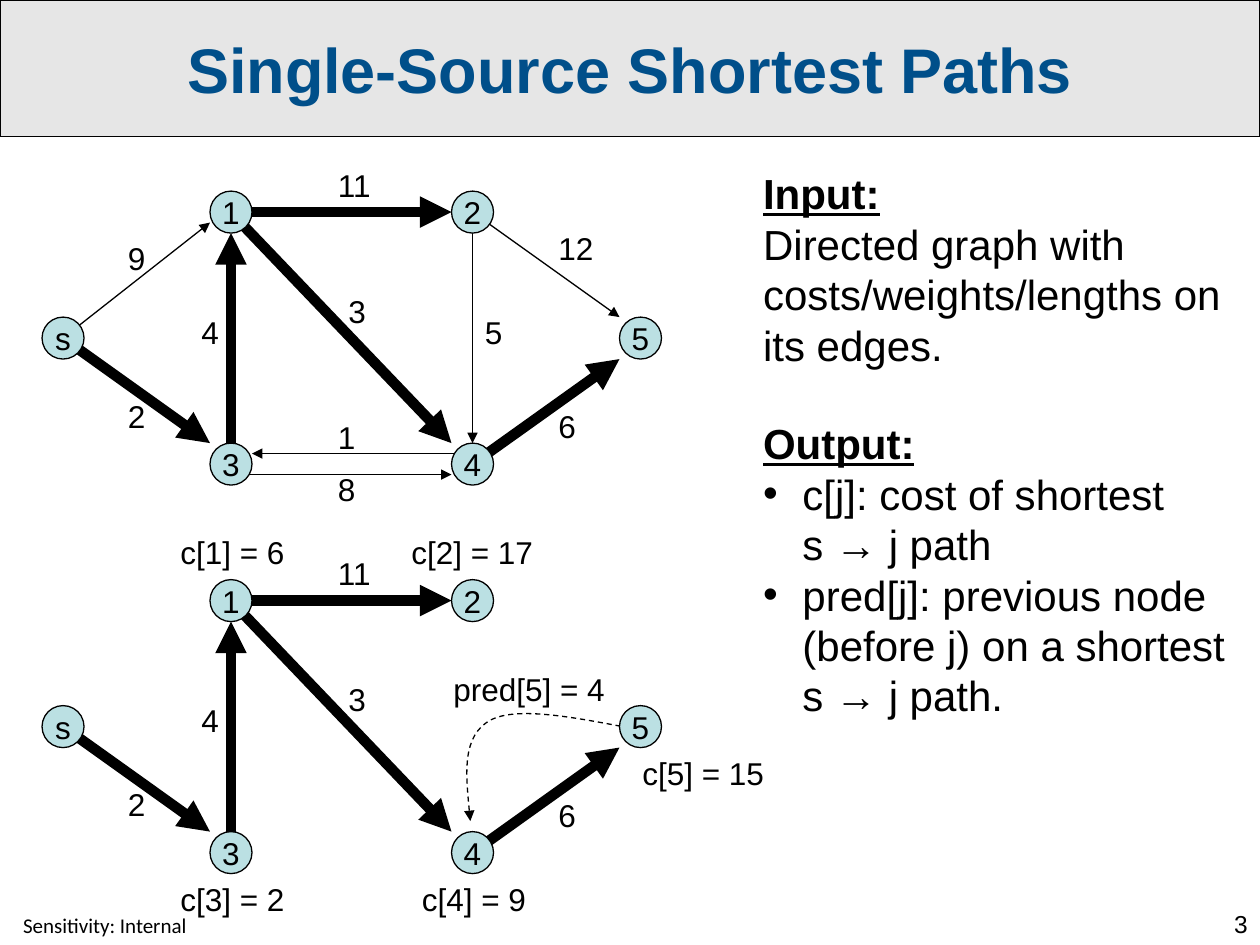
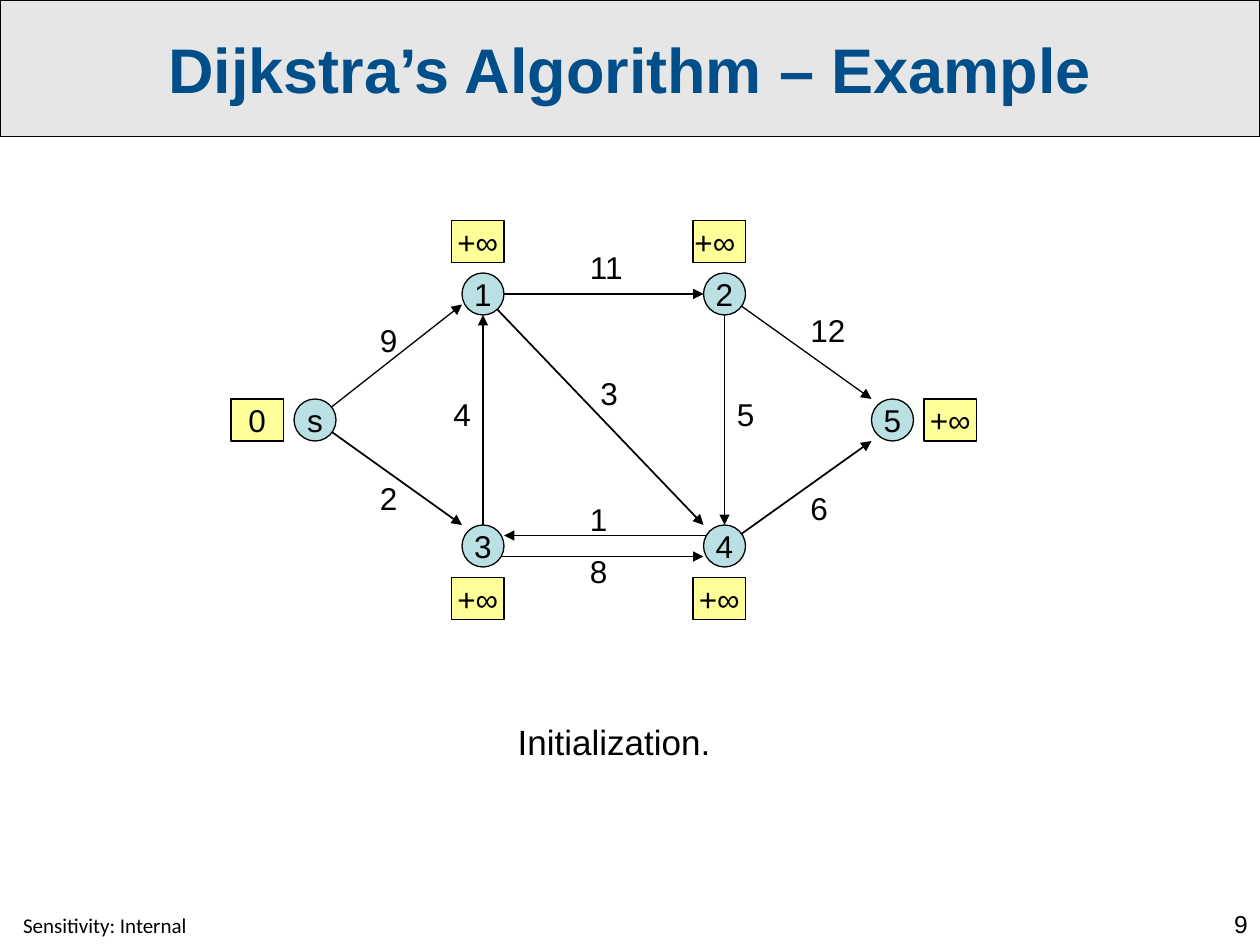
from dataclasses import dataclass

import pptx
import pptx.dml.color
import pptx.enum.dml
import pptx.enum.shapes
import pptx.enum.text
import pptx.oxml
import pptx.oxml.ns
import pptx.util

ALIGN = pptx.enum.text.PP_ALIGN
ANCHOR = pptx.enum.text.MSO_ANCHOR
SHAPE = pptx.enum.shapes.MSO_SHAPE
SCALE = 7620  # EMU in one px, 120 px to the inch


@dataclass(frozen=True)
class Theme:
    ink: str = "000000"
    title: str = "004F8A"
    band: str = "E6E6E6"
    node: str = "BBE0E3"
    cost: str = "FFFF99"
    font: str = "Arial"
    footer_font: str = "Calibri"
    title_size: int = 36
    body_size: int = 24
    caption_size: int = 20
    label_size: int = 18
    number_size: int = 14
    footer_size: int = 12
    thin: float = 0.75
    medium: float = 1
    thick: float = 6


THEME = Theme()
PAGE_WIDTH, PAGE_HEIGHT = 1200, 900
NODE_SIZE = 40
LABEL_HEIGHT = 48

# Graph parts, relative to the graph's box
NODES = {"s": (0, 120), "1": (160, 0), "3": (160, 240),
         "4": (390, 240), "2": (390, 0), "5": (550, 120)}
# Edges: start, end, weight, place of the weight
TREE_EDGES = [
    ((20, 140), (160, 240), "2", (70, 190)),
    ((180, 260), (180, 40), "4", (140, 110)),
    ((180, 20), (390, 20), "11", (270, -30)),
    ((170, 10), (390, 240), "3", (280, 90)),
    ((410, 260), (550, 160), "6", (480, 200)),
]
OTHER_EDGES = [
    ((20, 140), (160, 30), "9", (70, 40)),
    ((410, 20), (550, 120), "12", (480, 30)),
    ((410, 20), (410, 240), "5", (410, 110)),
    ((410, 250), (200, 250), "1", (270, 210)),
    ((180, 270), (390, 270), "8", (270, 260)),
]
# Path costs: text, left, top, width
PATH_COSTS = [
    ("c[1] = 6", 120, -50, 124), ("c[2] = 17", 340, -50, 140),
    ("c[3] = 2", 120, 280, 124), ("c[4] = 9", 350, 280, 124),
    ("c[5] = 15", 560, 160, 140), ("pred[5] = 4", 380, 80, 168),
]
PRED_CURVE = [(568, 143), (511, 132), (453, 120), (427, 134),
              (400, 149), (404, 190), (408, 230)]
START_COSTS = [("0", -60, 120), ("+∞", 150, -50), ("+∞", 150, 290),
               ("+∞", 380, 290), ("+∞ ", 380, -50), ("+∞", 600, 120)]


def px(*lengths):
    return [round(length * SCALE) for length in lengths]


def color(value):
    return pptx.dml.color.RGBColor.from_string(value)


def set_font(para, size, name=THEME.font, ink=THEME.ink, bold=False, underline=False):
    para.font.size = pptx.util.Pt(size)
    para.font.name = name
    para.font.bold = bold
    para.font.underline = underline
    para.font.color.rgb = color(ink)


def set_line(line, width=THEME.thin):
    line.color.rgb = color(THEME.ink)
    line.width = pptx.util.Pt(width)


def add_element(parent, tag, **attributes):
    element = pptx.oxml.parse_xml(f"<a:{tag} {pptx.oxml.ns.nsdecls('a')}/>")
    for name, value in attributes.items():
        element.set(name, value)
    parent.append(element)
    return element


def add_arrowhead(line):
    add_element(line._get_or_add_ln(), "tailEnd", type="triangle")


def add_text(page, text, box, size, align=ALIGN.LEFT, wrap=True, **font):
    shape = page.shapes.add_textbox(*px(*box))
    shape.text_frame.word_wrap = wrap
    para = shape.text_frame.paragraphs[0]
    para.text = text
    para.alignment = align
    set_font(para, size, **font)
    return shape


def add_label(page, text, left, top, width):
    add_text(page, text, (left, top, width, LABEL_HEIGHT), THEME.label_size, wrap=False)


def add_marker(page, kind, text, box, fill):
    shape = page.shapes.add_shape(kind, *px(*box))
    shape.shadow.inherit = False
    shape.fill.solid()
    shape.fill.fore_color.rgb = color(fill)
    set_line(shape.line)
    frame = shape.text_frame
    frame.word_wrap = False
    frame.vertical_anchor = ANCHOR.MIDDLE
    para = frame.paragraphs[0]
    para.text = text
    para.alignment = ALIGN.CENTER
    set_font(para, THEME.label_size)


def add_page(deck, title, number):
    page = deck.slides.add_slide(deck.slide_layouts[5])
    # Title band
    band = page.shapes.title
    band.left, band.top, band.width, band.height = px(0, 0, PAGE_WIDTH, 130)
    band.fill.solid()
    band.fill.fore_color.rgb = color(THEME.band)
    set_line(band.line)
    frame = band.text_frame
    frame.word_wrap = False
    frame.auto_size = pptx.enum.text.MSO_AUTO_SIZE.NONE
    frame.vertical_anchor = ANCHOR.MIDDLE
    para = frame.paragraphs[0]
    para.text = title
    para.alignment = ALIGN.CENTER
    set_font(para, THEME.title_size, ink=THEME.title, bold=True)
    # Footer and page number
    footer = add_text(page, "Sensitivity: Internal", (0, 862, 199, 38),
                      THEME.footer_size, name=THEME.footer_font).text_frame
    footer.vertical_anchor = ANCHOR.MIDDLE
    footer.margin_left = px(22)[0]
    footer.margin_top = footer.margin_right = footer.margin_bottom = 0
    add_text(page, number, (920, 860, 280, 40), THEME.number_size, ALIGN.RIGHT)
    return page


def add_graph(page, left, top, tree_width, edges):
    # Edges first, so that the nodes cover their ends
    for start, end, _, _ in edges:
        line = page.shapes.add_connector(
            pptx.enum.shapes.MSO_CONNECTOR.STRAIGHT,
            *px(left + start[0], top + start[1], left + end[0], top + end[1]))
        is_tree = (start, end) in [edge[:2] for edge in TREE_EDGES]
        set_line(line.line, tree_width if is_tree else THEME.thin)
        add_arrowhead(line.line)
        add_element(line._element.spPr, "effectLst")
    for name, (x, y) in NODES.items():
        add_marker(page, SHAPE.OVAL, name,
                   (left + x, top + y, NODE_SIZE, NODE_SIZE), THEME.node)
    for _, _, weight, (x, y) in edges:
        add_label(page, weight, left + x, top + y, 24 + 17 * len(weight))


def add_pred_curve(page, left, top):
    points = [tuple(px(left + x, top + y)) for x, y in PRED_CURVE]
    builder = page.shapes.build_freeform(*points[0])
    builder.add_line_segments(points[1:], close=False)
    curve = builder.convert_to_shape()
    # Each three straight steps become one Bézier segment
    steps = curve._element.findall(".//" + pptx.oxml.ns.qn("a:lnTo"))
    outline = steps[0].getparent()
    for first in range(0, len(steps), 3):
        segment = add_element(outline, "cubicBezTo")
        for step in steps[first:first + 3]:
            segment.append(step[0])
            outline.remove(step)
    curve.shadow.inherit = False
    curve.fill.background()
    set_line(curve.line)
    curve.line.dash_style = pptx.enum.dml.MSO_LINE.DASH
    add_arrowhead(curve.line)


def add_problem_text(page, left, top, width, height):
    lines = [
        ("Input:", "heading"),
        ("Directed graph with", "plain"),
        ("costs/weights/lengths on its edges.", "plain"),
        ("Output:", "heading"),
        ("c[j]: cost of shortest\vs → j path", "bullet"),
        ("pred[j]: previous node (before j) on a shortest s → j path.", "bullet"),
    ]
    frame = page.shapes.add_textbox(*px(left, top, width, height)).text_frame
    frame.word_wrap = True
    for index, (text, kind) in enumerate(lines):
        para = frame.add_paragraph() if index else frame.paragraphs[0]
        para.text = text
        if kind == "bullet":
            indent = px(37.5)[0]
            properties = para._p.get_or_add_pPr()
            properties.set("marL", str(indent))
            properties.set("indent", str(-indent))
            add_element(properties, "buFont", typeface=THEME.font)
            add_element(properties, "buChar", char="•")
        is_heading = kind == "heading"
        if is_heading and index:
            para.space_before = pptx.util.Pt(27.6)
        set_font(para, THEME.body_size, bold=is_heading, underline=is_heading)


def build_problem_page(deck):
    page = add_page(deck, "Single-Source Shortest Paths", "3")
    left, graph_top, tree_top = 40, 182, 552
    add_pred_curve(page, left, tree_top)
    add_graph(page, left, graph_top, THEME.thick, TREE_EDGES + OTHER_EDGES)
    add_graph(page, left, tree_top, THEME.thick, TREE_EDGES)
    for text, x, y, width in PATH_COSTS:
        add_label(page, text, left + x, tree_top + y, width)
    add_problem_text(page, 715, 154, 466, 545)


def build_example_page(deck):
    page = add_page(deck, "Dijkstra’s Algorithm – Example", "9")
    left, top = 280, 260
    add_graph(page, left, top, THEME.medium, TREE_EDGES + OTHER_EDGES)
    for text, x, y in START_COSTS:
        add_marker(page, SHAPE.RECTANGLE, text, (left + x, top + y, 50, 40), THEME.cost)
    add_text(page, "Initialization.", (80, 680, 1010, 52), THEME.caption_size, ALIGN.CENTER)


def main():
    deck = pptx.Presentation()
    deck.slide_width, deck.slide_height = px(PAGE_WIDTH, PAGE_HEIGHT)
    build_problem_page(deck)
    build_example_page(deck)
    deck.save("out.pptx")


if __name__ == "__main__":
    main()
